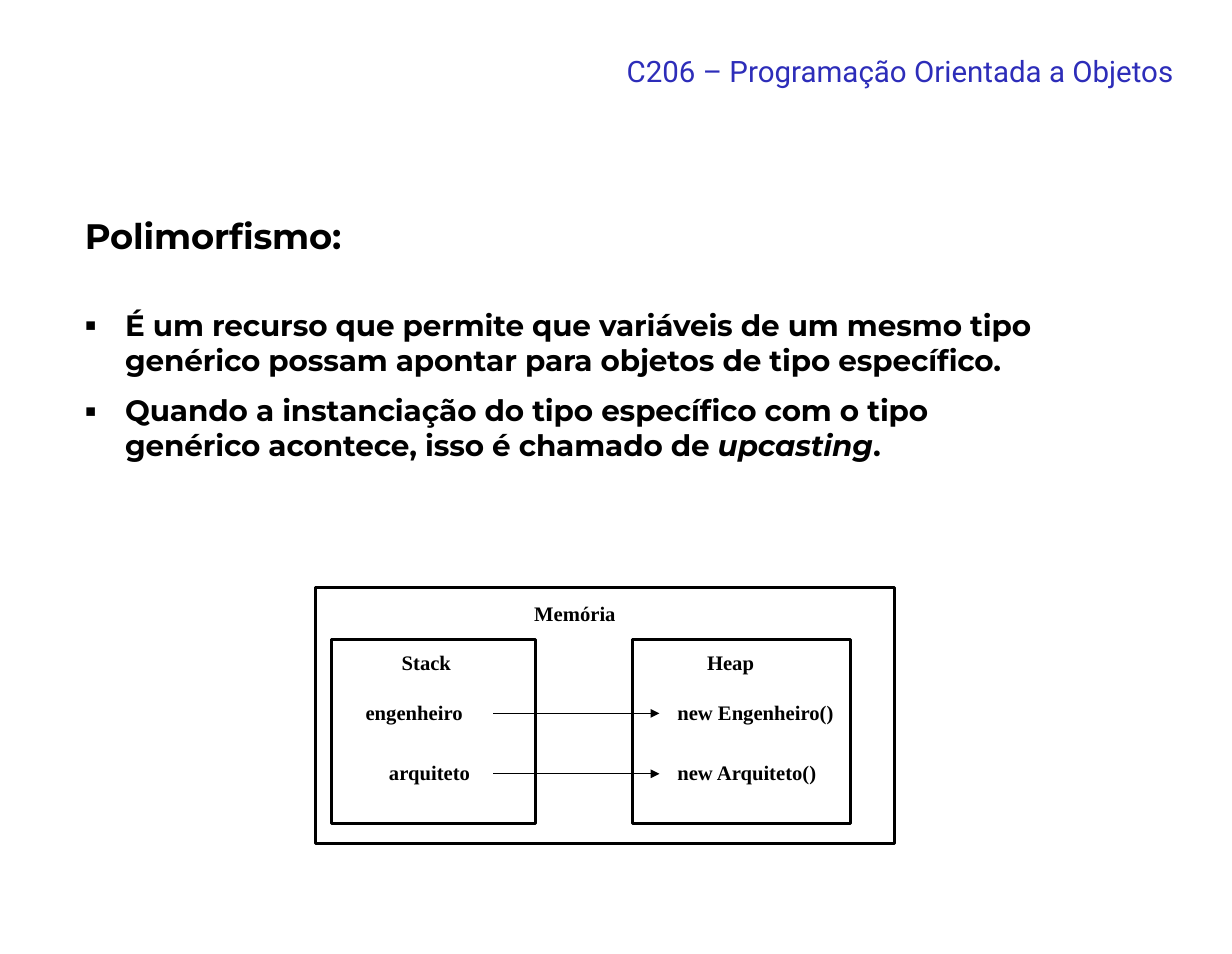
from dataclasses import dataclass
from lxml.etree import SubElement as Sub
from pptx import Presentation
from pptx.dml.color import RGBColor as Rgb
from pptx.enum.shapes import MSO_CONNECTOR as Conn, MSO_SHAPE as Shape
from pptx.enum.text import MSO_ANCHOR as Anchor, MSO_AUTO_SIZE as Fit, PP_ALIGN as Align
from pptx.oxml.ns import qn
from pptx.util import Inches, Pt


@dataclass(frozen=True)
class Theme:
    ink: Rgb = Rgb(0, 0, 0)
    paper: Rgb = Rgb(255, 255, 255)
    blue: Rgb = Rgb(0x2D, 0x2D, 0xB9)
    top: str = "Roboto"
    main: str = "Montserrat"
    note: str = "Times New Roman"
    head: int = 24
    text: int = 20
    label: int = 14


@dataclass(frozen=True)
class Box:
    left: float
    top: float
    width: float
    height: float

    def place(self) -> list:
        return [Inches(n) for n in (self.left, self.top, self.width, self.height)]


@dataclass(frozen=True)
class Label:
    text: str
    left: float
    top: float
    width: float = 1.05


@dataclass(frozen=True)
class Link:
    name: Label
    value: Label


THEME = Theme()
ROWS = (6.55, 7.12)
ARROW = (4.65, 6.22)

# Memory diagram: outer frame, then stack and heap
BOXES = [
    Box(2.98, 5.54, 5.46, 2.42),
    Box(3.13, 6.03, 1.92, 1.74),
    Box(5.97, 6.03, 2.05, 1.74),
]
HEADS = [
    Label("Memória", 4.94, 5.62),
    Label("Stack", 3.69, 6.08),
    Label("Heap", 6.57, 6.08),
]
LINKS = [
    Link(Label("engenheiro", 3.35, ROWS[0], 1.26),
         Label("new Engenheiro()", 6.29, ROWS[0], 1.73)),
    Link(Label("arquiteto", 3.57, ROWS[1]),
         Label("new Arquiteto()", 6.29, ROWS[1], 1.6)),
]

# Bullet runs as (text, italic)
POINTS = [
    [("É um recurso que permite que variáveis de um mesmo tipo genérico "
      "possam apontar para objetos de tipo específico.", False)],
    [("Quando a instanciação do tipo específico com o tipo genérico "
      "acontece, isso é chamado de ", False), ("upcasting", True), (".", False)],
]


def style(para, face: str, size: int, color: Rgb, bold: bool = True) -> None:
    para.alignment = Align.LEFT
    font = para.font
    font.name, font.size, font.bold = face, Pt(size), bold
    font.color.rgb = color


def tighten(para) -> None:
    """Draw letters 0.1 pt closer together."""
    para._p.pPr.find(qn("a:defRPr")).set("spc", "-10")


def indent(para, left: float, first: float, mark: str = "") -> None:
    props = para._p.get_or_add_pPr()
    props.set("marL", str(Inches(left)))
    props.set("indent", str(Inches(first)))
    if mark:
        Sub(props, qn("a:buFont"), typeface=THEME.main)
        Sub(props, qn("a:buChar"), char=mark)
    else:
        Sub(props, qn("a:buNone"))


def settle(shape, box: Box):
    """Move a placeholder and return its text frame."""
    shape.left, shape.top, shape.width, shape.height = box.place()
    frame = shape.text_frame
    frame.word_wrap, frame.auto_size = True, Fit.NONE
    frame.vertical_anchor = Anchor.TOP
    return frame


def add_box(slide, box: Box) -> None:
    shape = slide.shapes.add_shape(Shape.RECTANGLE, *box.place())
    shape.shadow.inherit = False
    shape.fill.solid()
    shape.fill.fore_color.rgb = THEME.paper
    shape.line.color.rgb = THEME.ink
    shape.line.width = Pt(2)


def add_label(slide, label: Label) -> None:
    box = Box(label.left, label.top, label.width, 0.34)
    frame = slide.shapes.add_textbox(*box.place()).text_frame
    frame.word_wrap = True
    frame.text = label.text
    style(frame.paragraphs[0], THEME.note, THEME.label, THEME.ink)


def add_arrow(slide, y: float) -> None:
    start, end = (Inches(x) for x in ARROW)
    arrow = slide.shapes.add_connector(Conn.STRAIGHT, start, Inches(y), end, Inches(y))
    arrow.line.color.rgb = THEME.ink
    arrow.line.width = Pt(0.75)
    Sub(arrow.line._get_or_add_ln(), qn("a:tailEnd"), type="triangle")
    Sub(arrow._element.spPr, qn("a:effectLst"))


def add_body(shape) -> None:
    frame = settle(shape, Box(0.69, 1.97, 9.19, 2.52))
    head = frame.paragraphs[0]
    head.text = "Polimorfismo:"
    indent(head, 0.01, 0)
    style(head, THEME.main, THEME.head, THEME.ink)
    tighten(head)
    head.space_before = Pt(0)
    for spot, runs in enumerate(POINTS):
        para = frame.add_paragraph()
        indent(para, 0.39, -0.38, "▪")
        style(para, THEME.main, THEME.text, THEME.ink)
        tighten(para)
        para.space_before = Pt(10 if spot else 34)
        for text, slant in runs:
            run = para.add_run()
            run.text = text
            if slant:
                run.font.italic = True


def main() -> None:
    deck = Presentation()
    deck.slide_width, deck.slide_height = Inches(11.62), Inches(9)
    slide = deck.slides.add_slide(deck.slide_layouts[1])

    # Course name and list
    frame = settle(slide.shapes.title, Box(5.81, 0.45, 5.76, 0.43))
    frame.text = "C206 – Programação Orientada a Objetos"
    style(frame.paragraphs[0], THEME.top, THEME.text, THEME.blue, bold=False)
    add_body(slide.placeholders[1])

    # Memory diagram
    for box in BOXES:
        add_box(slide, box)
    for label in HEADS:
        add_label(slide, label)
    for link in LINKS:
        add_label(slide, link.name)
        add_arrow(slide, link.name.top + 0.18)
        add_label(slide, link.value)

    deck.save("out.pptx")


if __name__ == "__main__":
    main()
